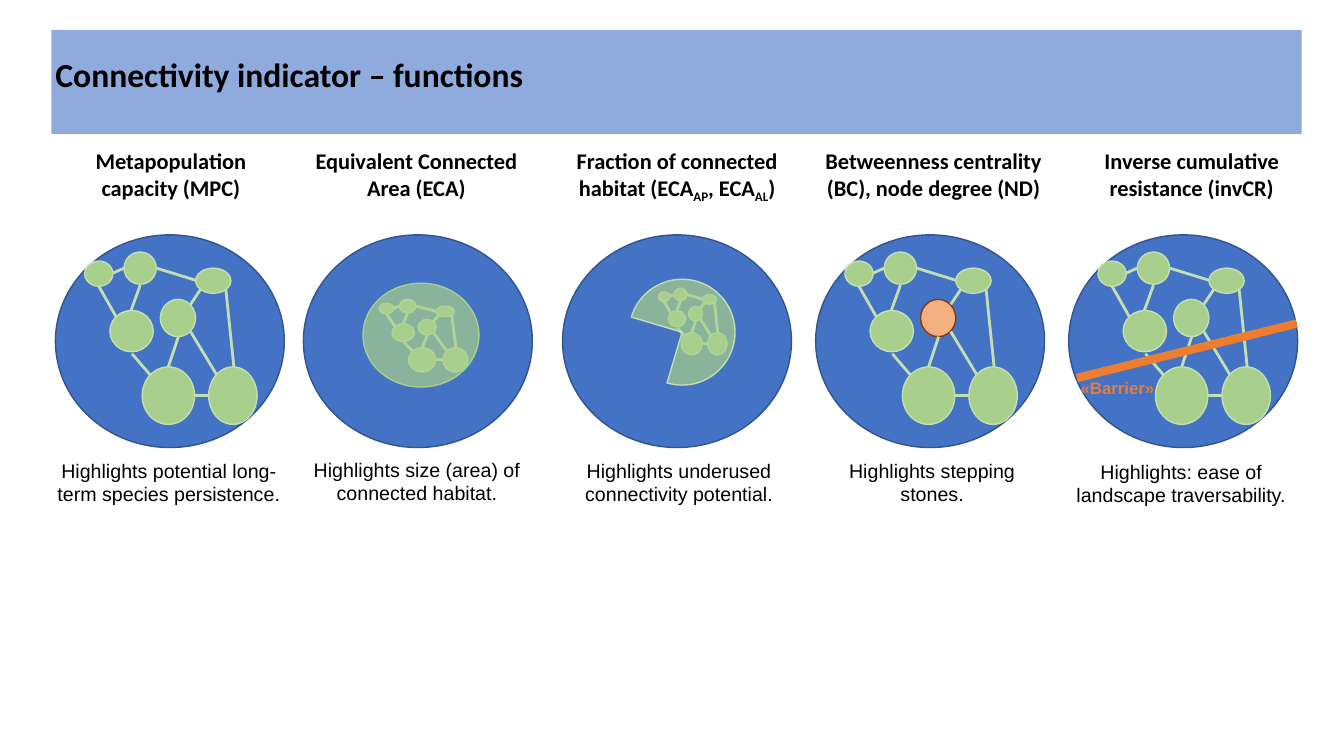
from dataclasses import dataclass
from lxml.etree import SubElement
from pptx import Presentation
from pptx.dml.color import RGBColor
from pptx.enum.shapes import MSO_CONNECTOR, MSO_SHAPE
from pptx.enum.text import PP_ALIGN
from pptx.oxml.ns import qn
from pptx.util import Inches, Pt


@dataclass(frozen=True)
class Theme:
    banner: str = "8FAADC"
    disc: str = "4472C4"
    rim: str = "31538F"
    node: str = "A8D08C"
    link: str = "C4E0B2"
    step: str = "F4B081"
    edge: str = "833C0B"
    bar: str = "ED7D31"
    ink: str = "000000"
    head: str = "Calibri"
    body: str = "Arial"
    title: int = 24
    label: int = 16
    note: int = 14
    small: int = 12


@dataclass(frozen=True)
class Column:
    left: float
    head: str
    head_box: tuple
    note: str
    note_box: tuple
    net: tuple
    kind: str = ""
    indent: float = 0


THEME = Theme()
DISC_TOP, DISC_W, DISC_H = 2.33, 2.27, 2.11
UNIT = 1.71
FULL = (0.29, 0.17, UNIT, UNIT)
STEP = 1
NODES = [
    (1.23, 1.14, 0.48, 0.57), (0.75, 0.47, 0.35, 0.37),
    (0.57, 1.14, 0.52, 0.57), (0.39, 0, 0.32, 0.32),
    (0, 0.09, 0.28, 0.25), (0.25, 0.58, 0.43, 0.41),
    (1.1, 0.16, 0.35, 0.25),
]
LINKS = [
    (1.23, 1.42, 1.09, 1.42), (1.4, 0.37, 1.48, 1.14),
    (1.05, 0.79, 1.31, 1.22), (0.83, 1.14, 0.93, 0.84),
    (0.65, 1.22, 0.47, 1.01), (0.14, 0.34, 0.31, 0.64),
    (0.46, 0.58, 0.55, 0.33), (0.28, 0.21, 0.39, 0.16),
    (0.71, 0.16, 1.1, 0.28), (1.15, 0.37, 1.05, 0.52),
]
COLUMNS = [
    Column(0.55, "Metapopulation capacity (MPC)", (-0.04, 2.37),
           "Highlights potential long-term species persistence.",
           (-0.08, 4.5, 2.41), FULL),
    Column(3.01, "Equivalent Connected Area (ECA)", (-0.07, 2.38),
           "Highlights size (area) of connected habitat.",
           (-0.07, 4.49, 2.39), (0.75, 0.64, 0.88, 0.72), "area"),
    Column(5.58, "Fraction of connected habitat (ECA|AP|, ECA|AL|)",
           (-0.11, 2.49), "Highlights underused connectivity potential.",
           (-0.04, 4.5, 2.39), (0.95, 0.53, 0.68, 0.66), "share"),
    Column(8.09, "Betweenness centrality (BC), node degree (ND)",
           (-0.01, 2.36), "Highlights stepping stones.",
           (0.01, 4.5, 2.29), FULL, "step"),
    Column(10.6, "Inverse cumulative resistance (invCR)", (-0.06, 2.37),
           "Highlights: ease of landscape traversability.",
           (-0.03, 4.51, 2.29), FULL, "barrier", 0.19),
]


def color(code):
    return RGBColor.from_string(code)


def shape(host, kind, box, fill, line=None, alpha=None):
    item = host.add_shape(kind, *map(Inches, box))
    item.shadow.inherit = False
    item.fill.solid()
    item.fill.fore_color.rgb = color(fill)
    if line:
        item.line.color.rgb = color(line)
        item.line.width = Pt(1)
    else:
        item.line.fill.background()
    if alpha:
        tone = item._element.spPr.find(qn("a:solidFill"))[0]
        SubElement(tone, qn("a:alpha"), val=str(alpha * 1000))
    return item


def line(host, ends, tone, width):
    item = host.add_connector(MSO_CONNECTOR.STRAIGHT, *map(Inches, ends))
    item.line.color.rgb = color(tone)
    item.line.width = Pt(width)
    SubElement(item._element.spPr, qn("a:effectLst"))


def write(host, text, box, *, size, font, tone=THEME.ink, bold=False,
          align=PP_ALIGN.CENTER, inset=(0.1, 0.05), indent=0):
    frame = host.add_textbox(*map(Inches, box)).text_frame
    frame.word_wrap = True
    frame.margin_left = frame.margin_right = Inches(inset[0])
    frame.margin_top = frame.margin_bottom = Inches(inset[1])
    para = frame.paragraphs[0]
    para.alignment = align
    if indent:
        props = para._p.get_or_add_pPr()
        props.set("marL", str(Inches(indent)))
        props.set("indent", "0")
    for index, part in enumerate(text.split("|")):
        run = para.add_run()
        run.text = part
        run.font.size = Pt(size)
        run.font.name = font
        run.font.bold = bold
        run.font.color.rgb = color(tone)
        if index % 2:
            run._r.get_or_add_rPr().set("baseline", "-25000")


def network(host, box, step=False):
    left, top, width, height = box
    group = host.add_group_shape().shapes
    wide, high = width / UNIT, height / UNIT
    for index, (x, y, w, h) in enumerate(NODES):
        fill, rim = THEME.node, THEME.link
        if step and index == STEP:
            fill, rim = THEME.step, THEME.edge
        place = (left + x * wide, top + y * high, w * wide, h * high)
        shape(group, MSO_SHAPE.OVAL, place, fill, rim)
    for x, y, end_x, end_y in LINKS:
        ends = (left + x * wide, top + y * high,
                left + end_x * wide, top + end_y * high)
        line(group, ends, THEME.link, 2)


def overlay(host, kind, left, top):
    if kind == "area":
        shape(host, MSO_SHAPE.OVAL, (left + 0.59, top + 0.48, 1.15, 1.03),
              THEME.node, THEME.node, 70)
    elif kind == "share":
        pie = shape(host, MSO_SHAPE.PIE, (left + 0.66, top + 0.44, 1.05, 1.05),
                    THEME.node, THEME.link, 70)
        pie.rotation = 196.5
    elif kind == "barrier":
        line(host, (left + 0.08, top + 1.42, left + 2.26, top + 0.88),
             THEME.bar, 6)
        write(host, "«Barrier»", (left - 0.17, top + 1.37, 1.17, 0.3),
              size=THEME.small, font=THEME.body, tone=THEME.bar, bold=True,
              align=PP_ALIGN.LEFT, indent=0.19)


def column(host, item):
    left, top = item.left, DISC_TOP
    shift, width = item.head_box
    write(host, item.head, (left + shift, 1.41, width, 5.76),
          size=THEME.label, font=THEME.head, bold=True, indent=item.indent)
    shape(host, MSO_SHAPE.OVAL, (left, top, DISC_W, DISC_H),
          THEME.disc, THEME.rim)
    x, y, w, h = item.net
    network(host, (left + x, top + y, w, h), item.kind == "step")
    overlay(host, item.kind, left, top)
    shift, low, width = item.note_box
    write(host, item.note, (left + shift, low, width, 0.57),
          size=THEME.note, font=THEME.body)


def banner(host, box):
    left, top, width, height = box
    shape(host, MSO_SHAPE.RECTANGLE, box, THEME.banner)
    write(host, "Connectivity indicator – functions",
          (left + 0.04, top + 0.16, width - 0.04, 0.65),
          size=THEME.title, font=THEME.head, bold=True,
          align=PP_ALIGN.LEFT, inset=(0, 0.07))


def main():
    deck = Presentation()
    deck.slide_width, deck.slide_height = Inches(13.33), Inches(7.5)
    host = deck.slides.add_slide(deck.slide_layouts[6]).shapes
    for item in COLUMNS:
        column(host, item)
    banner(host, (0.51, 0.3, 12.4, 1.03))
    deck.save("out.pptx")


if __name__ == "__main__":
    main()
